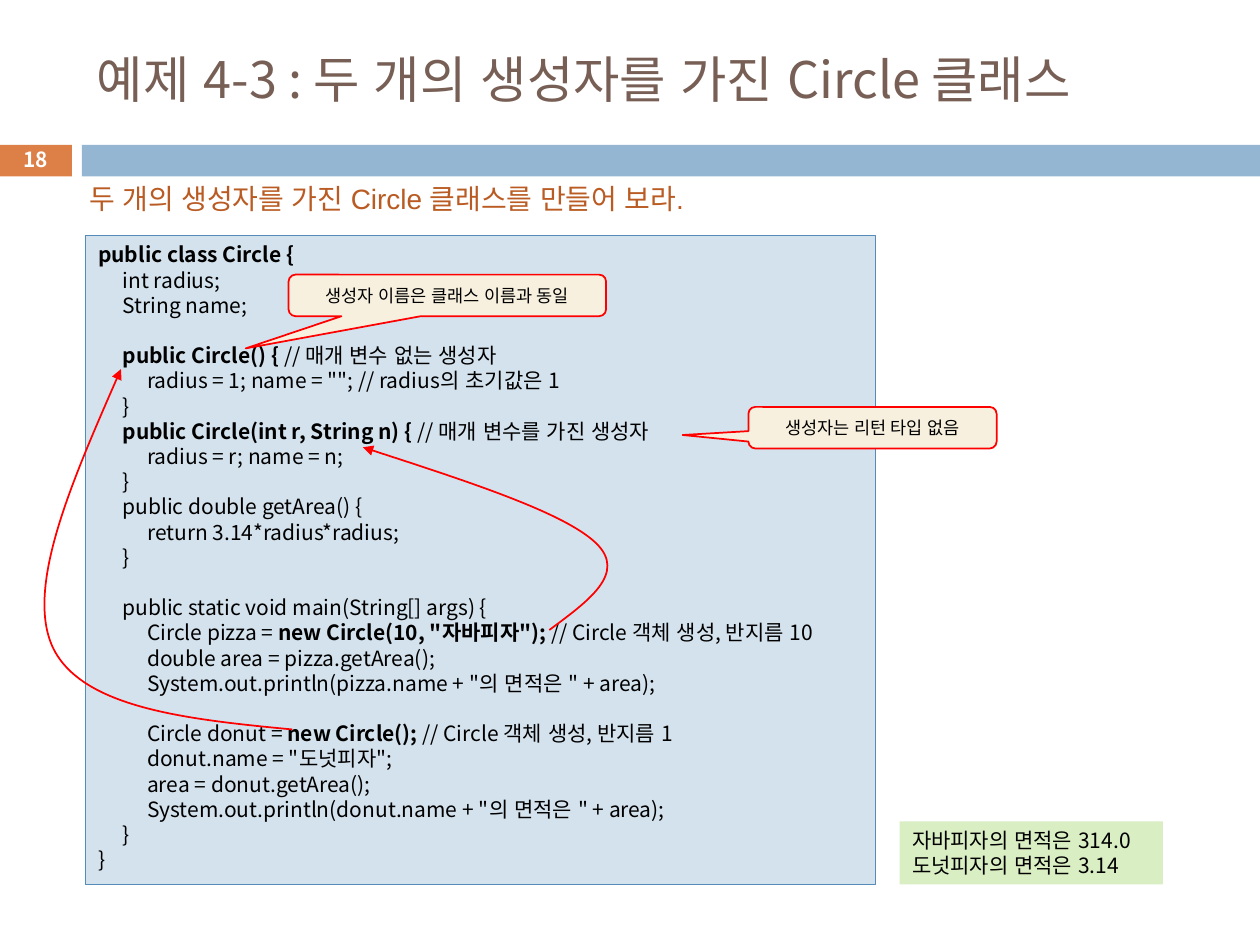
from lxml import etree
from pptx import Presentation
from pptx import util as u
from pptx.dml.color import RGBColor
from pptx.enum import shapes, text
from pptx.oxml.ns import qn

ORANGE = RGBColor(0xDD, 0x80, 0x47)
BLUE = RGBColor(0x94, 0xB6, 0xD2)
BROWN = RGBColor(0x77, 0x5F, 0x55)
RUST = RGBColor(0xB9, 0x5B, 0x22)
CODE_FILL = RGBColor(0xD4, 0xE2, 0xED)
CODE_LINE = RGBColor(0x55, 0x8B, 0xB8)
GREEN = RGBColor(0xDA, 0xEE, 0xC4)
CREAM = RGBColor(0xF7, 0xF0, 0xDE)
RED = RGBColor(0xFF, 0, 0)
BLACK = RGBColor(0, 0, 0)
WHITE = RGBColor(0xFF, 0xFF, 0xFF)

FONT = "Noto Sans CJK KR"
EAST_ASIAN_FONT = "Arial"
LINE_PITCH = u.Pt(14.4)
TAB_STEP = 0.195
BOLD_MARK = "**"

CODE = """**public class Circle {**
	int radius;
	String name;

	**public Circle() {** // 매개 변수 없는 생성자
		radius = 1; name = ""; // radius의 초기값은 1
	}
	**public Circle(int r, String n) { **// 매개 변수를 가진 생성자
		radius = r; name = n;
	}
	public double getArea() {
		return 3.14*radius*radius;
	}

	public static void main(String[] args) {
		Circle pizza = **new Circle(10, "자바피자"); **// Circle 객체 생성, 반지름 10
		double area = pizza.getArea();
		System.out.println(pizza.name + "의 면적은 " + area);

		Circle donut = **new Circle(); **// Circle 객체 생성, 반지름 1
		donut.name = "도넛피자";
		area = donut.getArea();
		System.out.println(donut.name + "의 면적은 " + area);
	}
}"""

OUTPUT = """자바피자의 면적은 314.0
도넛피자의 면적은 3.14"""


def add_tabs(p):
    tabs = etree.SubElement(p._p.get_or_add_pPr(), qn("a:tabLst"))
    for i in (1, 2):
        etree.SubElement(tabs, qn("a:tab"), pos=str(u.Inches(TAB_STEP * i)), algn="l")


def write(sp, content, size=12, color=BLACK, font=FONT, align=text.PP_ALIGN.LEFT,
          anchor=text.MSO_ANCHOR.MIDDLE, pitch=None, tabs=False):
    tf = sp.text_frame
    tf.word_wrap = True
    tf.vertical_anchor = anchor
    p = tf.paragraphs[0]
    gap = False
    for i, line in enumerate(content.split("\n")):
        if not line:
            gap = True
            continue
        if i:
            p = tf.add_paragraph()
        p.alignment = align
        if pitch:
            p.line_spacing = pitch
        if gap:
            p.space_before = pitch
            gap = False
        if tabs:
            add_tabs(p)
        for j, part in enumerate(line.split(BOLD_MARK)):
            if not part:
                continue
            r = p.add_run()
            r.text = part
            r.font.size = u.Pt(size)
            r.font.bold = j % 2 == 1
            r.font.name = font
            r.font.color.rgb = color
            etree.SubElement(r._r.get_or_add_rPr(), qn("a:ea"), typeface=EAST_ASIAN_FONT)


def add_text(s, box, content, **fmt):
    sp = s.shapes.add_textbox(*map(u.Inches, box))
    write(sp, content, **fmt)


def add_box(s, box, fill, line=None, width=1,
            kind=shapes.MSO_SHAPE.RECTANGLE):
    sp = s.shapes.add_shape(kind, *map(u.Inches, box))
    sp.shadow.inherit = False
    sp.fill.solid()
    sp.fill.fore_color.rgb = fill
    if line is None:
        sp.line.fill.background()
    else:
        sp.line.color.rgb = line
        sp.line.width = u.Pt(width)
    return sp


def add_callout(s, box, tip, content):
    sp = add_box(s, box, CREAM, RED,
                 kind=shapes.MSO_SHAPE.ROUNDED_RECTANGULAR_CALLOUT)
    for i, value in enumerate(tip):
        sp.adjustments[i] = value
    write(sp, content, size=10, align=text.PP_ALIGN.CENTER)


def add_curved_arrow(s, *points):
    start, *rest = [(u.Inches(x), u.Inches(y)) for x, y in points]
    builder = s.shapes.build_freeform(*start)
    builder.add_line_segments(rest, close=False)
    sp = builder.convert_to_shape()
    sp.shadow.inherit = False
    sp.fill.background()
    sp.line.color.rgb = RED
    sp.line.width = u.Pt(1)
    etree.SubElement(sp.line._get_or_add_ln(), qn("a:tailEnd"), type="triangle")
    segments = list(sp._element.iter(qn("a:lnTo")))
    for i in range(0, len(segments), 3):
        curve = etree.Element(qn("a:cubicBezTo"))
        segments[i].addprevious(curve)
        for segment in segments[i:i + 3]:
            curve.append(segment[0])
            segment.getparent().remove(segment)


def main():
    prs = Presentation()
    prs.slide_width, prs.slide_height = u.Inches(10), u.Inches(7.5)
    s = prs.slides.add_slide(prs.slide_layouts[6])

    add_box(s, (-0.01, 1.15, 0.58, 0.25), ORANGE)
    add_box(s, (0.65, 1.15, 9.35, 0.25), BLUE)
    add_text(s, (0.67, 0.25, 8.92, 0.74),
             "예제 4-3 : 두 개의 생성자를 가진 Circle 클래스", size=28.8, color=BROWN)
    add_text(s, (-0.01, 1.13, 0.58, 0.27), "**18**", size=11.9, color=WHITE,
             align=text.PP_ALIGN.CENTER)
    add_text(s, (0.61, 1.39, 5.97, 0.37),
             "두 개의 생성자를 가진 Circle 클래스를 만들어 보라.",
             size=16, color=RUST, font="Arial", anchor=text.MSO_ANCHOR.TOP)

    code = add_box(s, (0.68, 1.87, 6.27, 5.15), CODE_FILL, CODE_LINE, 0.75)
    write(code, CODE, anchor=text.MSO_ANCHOR.TOP, pitch=LINE_PITCH, tabs=True)
    output = add_box(s, (7.14, 6.52, 2.09, 0.5), GREEN)
    write(output, OUTPUT, anchor=text.MSO_ANCHOR.TOP, pitch=LINE_PITCH)

    add_curved_arrow(s, (4.36, 5), (4.67, 4.77), (4.98, 4.55), (4.73, 4.31),
                     (4.48, 4.07), (3.68, 3.81), (2.88, 3.55))
    add_curved_arrow(s, (2.32, 5.79), (1.48, 5.71), (0.65, 5.62), (0.42, 5.14),
                     (0.2, 4.67), (0.58, 3.8), (0.96, 2.93))
    add_callout(s, (2.29, 2.18, 2.52, 0.33), (-0.635, 1.275),
                "생성자 이름은 클래스 이름과 동일")
    add_callout(s, (5.94, 3.23, 1.97, 0.33), (-0.765, 0.176),
                "생성자는 리턴 타입 없음")

    prs.save("out.pptx")


if __name__ == "__main__":
    main()
